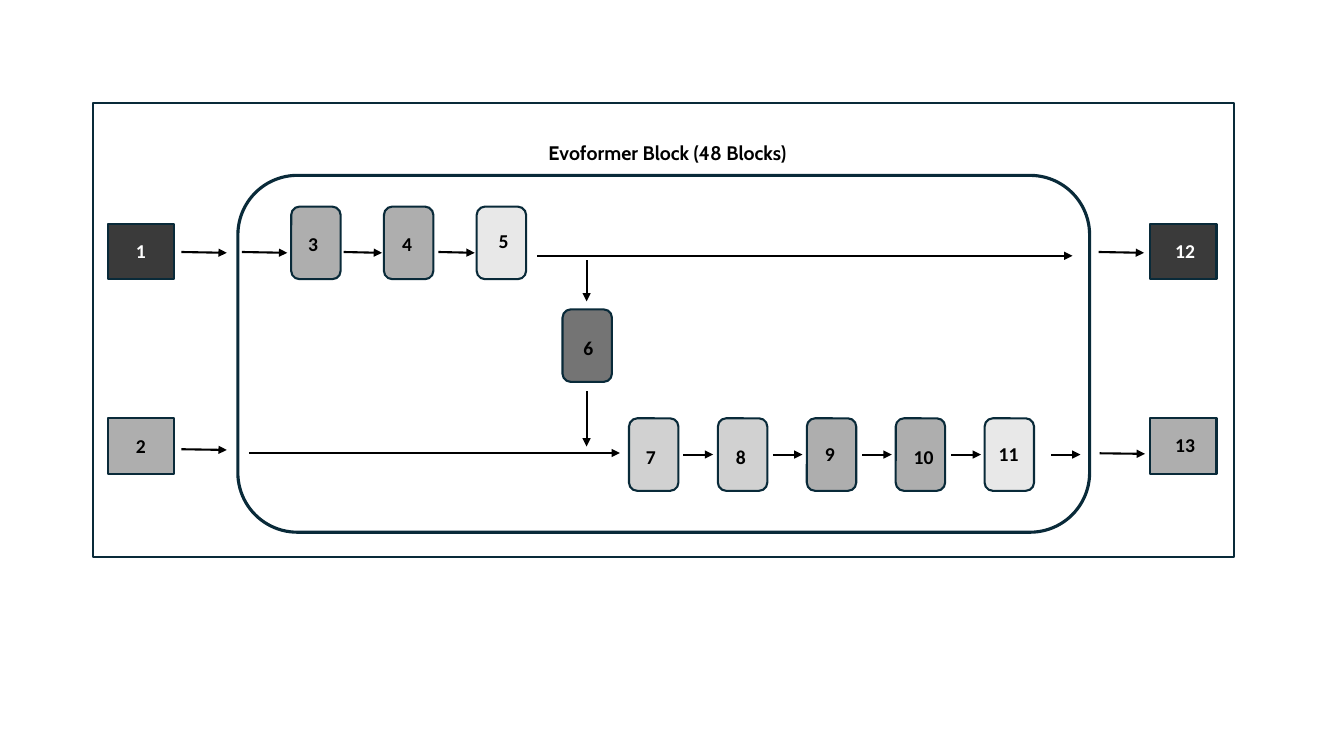
from dataclasses import dataclass

from pptx import Presentation
from pptx.dml.color import RGBColor
from pptx.enum.shapes import MSO_CONNECTOR as Connector, MSO_SHAPE as Shape
from pptx.enum.text import MSO_ANCHOR as Anchor, MSO_AUTO_SIZE as AutoSize, PP_ALIGN as Align
from pptx.oxml.ns import qn
from pptx.slide import Slide
from pptx.text.text import TextFrame
from pptx.util import Pt
from lxml.etree import SubElement

COLOURS = {
    "white": "FFFFFF", "black": "000000", "outline": "092A39",
    "charcoal": "3A3A3A", "dark": "747474", "medium": "AEAEAE",
    "light": "D1D1D1", "pale": "E8E8E8",
}
BLOCK_SIZE = (35.3, 51.8)
PORT_SIZE = (47.5, 39.6)
UPPER_TOP, LOWER_TOP = 147.6, 298.8
PORT_TOP = 159.8
INPUT_LEFT, OUTPUT_LEFT = 77, 821.5


@dataclass
class Box:
    left: float
    top: float
    width: float
    height: float
    fill: str
    kind: Shape = Shape.ROUNDED_RECTANGLE
    line_width: float = 1.5


@dataclass
class Node:
    """A numbered box; dx and dy place its label."""
    label: str
    box: Box
    dx: float
    dy: float
    ink: str = "black"


@dataclass
class Arrow:
    x1: float
    y1: float
    x2: float
    y2: float


def colour(name: str) -> RGBColor:
    return RGBColor.from_string(COLOURS[name])


def block(left: float, top: float, fill: str) -> Box:
    return Box(left, top, *BLOCK_SIZE, fill)


def port(left: float, top: float, fill: str) -> Box:
    return Box(left, top, *PORT_SIZE, fill, Shape.RECTANGLE)


def upper(column: int, fill: str) -> Box:
    return block(208 + 66.25 * column, UPPER_TOP, fill)


def lower(column: int, fill: str) -> Box:
    return block(449.3 + 63.5 * column, LOWER_TOP, fill)


def draw_box(slide: Slide, box: Box) -> None:
    shape = slide.shapes.add_shape(
        box.kind, Pt(box.left), Pt(box.top), Pt(box.width), Pt(box.height))
    shape.shadow.inherit = False
    shape.fill.solid()
    shape.fill.fore_color.rgb = colour(box.fill)
    shape.line.color.rgb = colour("outline")
    shape.line.width = Pt(box.line_width)


def draw_arrow(slide: Slide, arrow: Arrow) -> None:
    connector = slide.shapes.add_connector(
        Connector.STRAIGHT, Pt(arrow.x1), Pt(arrow.y1), Pt(arrow.x2), Pt(arrow.y2))
    connector.line.color.rgb = colour("black")
    connector.line.width = Pt(1.5)
    properties = connector._element.spPr
    SubElement(properties.find(qn("a:ln")), qn("a:tailEnd"), type="triangle")
    SubElement(properties, qn("a:effectLst"))


def write(frame: TextFrame, text: str, font: str, ink: str) -> None:
    frame.text = text
    frame.word_wrap = True
    frame.auto_size = AutoSize.SHAPE_TO_FIT_TEXT
    frame.vertical_anchor = Anchor.TOP
    para = frame.paragraphs[0]
    para.alignment = Align.LEFT
    para.line_spacing = 1.0
    para.space_before = Pt(0)
    span = para.runs[0]
    span.font.name = font
    span.font.size = Pt(14)
    span.font.bold = True
    span.font.color.rgb = colour(ink)


def draw_label(slide: Slide, node: Node) -> None:
    label = slide.shapes.add_textbox(
        Pt(node.box.left + node.dx), Pt(node.box.top + node.dy), Pt(30.2), Pt(24.2))
    write(label.text_frame, node.label, "Calibri", node.ink)


def draw_title(slide: Slide, text: str) -> None:
    title = slide.shapes.title
    title.left, title.top, title.width, title.height = Pt(384.5), Pt(97.2), Pt(200), Pt(24.2)
    write(title.text_frame, text, "Cabin", "black")
    # Bring the title in front of the white frame
    slide.shapes._spTree.append(title._element)


# Outer frame and the repeated block
CONTAINERS = [
    Box(66.2, 73.4, 815, 324.7, "white", Shape.RECTANGLE),
    Box(169.9, 125.3, 608.4, 254.9, "white", line_width=2.25),
]

NODES = [
    # Inputs
    Node("1", port(INPUT_LEFT, PORT_TOP, "charcoal"), 13, 7.2, "white"),
    Node("2", port(INPUT_LEFT, LOWER_TOP, "medium"), 13, 7.9),
    # Upper row
    Node("3", upper(0, "medium"), 5, 14.4),
    Node("4", upper(1, "medium"), 5.8, 14.4),
    Node("5", upper(2, "pale"), 8.6, 12.2),
    # Bridge between the rows
    Node("6", block(401.8, 221, "dark"), 7.9, 15.1),
    # Lower row
    Node("7", lower(0, "light"), 5, 15.8),
    Node("8", lower(1, "light"), 5.8, 15.8),
    Node("9", lower(2, "medium"), 5.8, 13),
    Node("10", lower(3, "medium"), 5.8, 15.8),
    Node("11", lower(4, "pale"), 2.9, 13),
    # Outputs
    Node("12", port(OUTPUT_LEFT, PORT_TOP, "charcoal"), 10.8, 7.2, "white"),
    Node("13", port(OUTPUT_LEFT, LOWER_TOP, "medium"), 10.8, 7.2),
]

ARROWS = [
    # Along the upper row
    *(Arrow(start, 180, end, 180.6) for start, end in
      [(129.6, 162), (172.8, 205.2), (245.5, 272.9), (313.2, 339.1), (784.8, 817.2)]),
    Arrow(383.8, 182.7, 766.1, 182.7),
    # Down through the bridge
    Arrow(419, 185.8, 419, 215.3),
    Arrow(419, 279.4, 419, 319),
    # Along the lower row
    Arrow(129.6, 320.9, 162, 321.4),
    Arrow(177.8, 323.6, 442.8, 323.6),
    *(Arrow(488.2 + 63.8 * gap, 324.7, 509.4 + 63.8 * gap, 324.7) for gap in range(4)),
    Arrow(751, 324.7, 771.8, 324.7),
    Arrow(785.5, 323.8, 817.9, 324.2),
]


def main() -> None:
    deck = Presentation()
    deck.slide_width, deck.slide_height = Pt(960), Pt(540)
    page = deck.slides.add_slide(deck.slide_layouts[5])
    for box in CONTAINERS + [node.box for node in NODES]:
        draw_box(page, box)
    for arrow in ARROWS:
        draw_arrow(page, arrow)
    draw_title(page, "Evoformer Block (48 Blocks)")
    for node in NODES:
        draw_label(page, node)
    deck.save("out.pptx")


if __name__ == "__main__":
    main()
